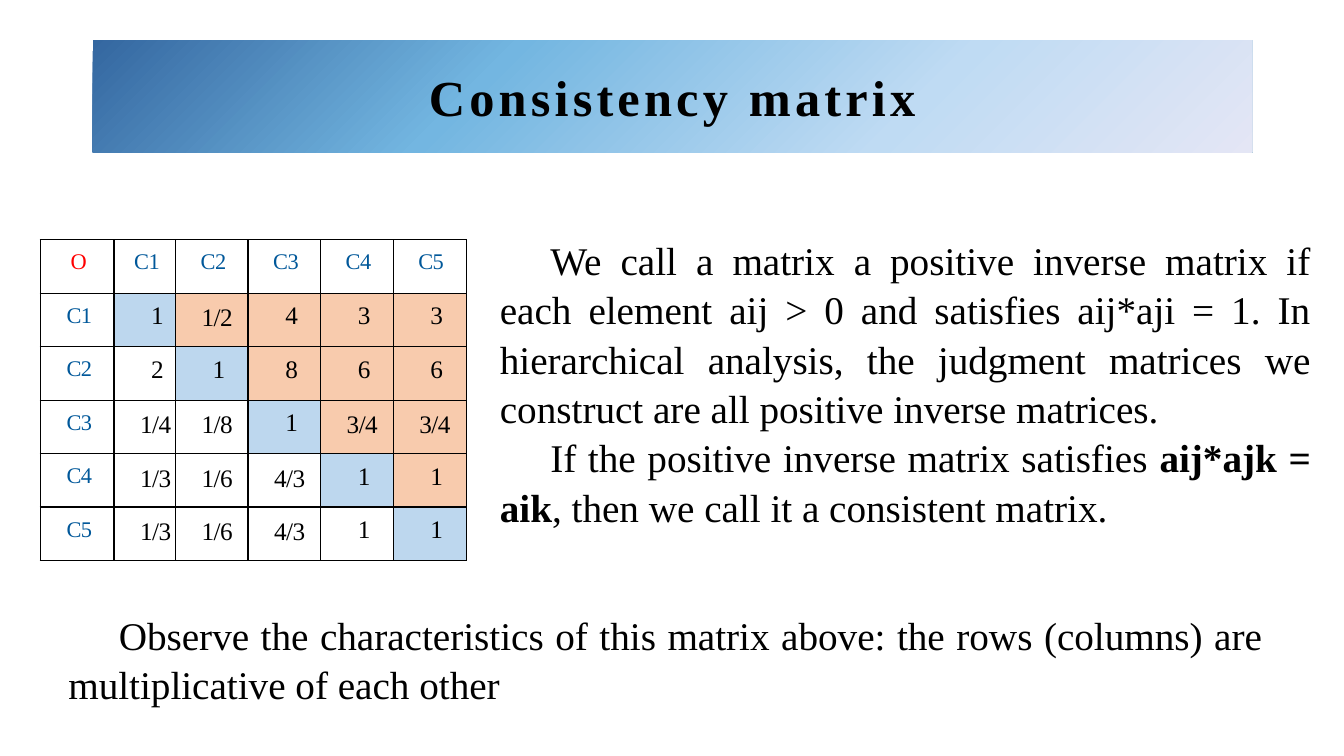
import dataclasses

import pptx
import pptx.dml.color
import pptx.enum.shapes
import pptx.enum.text
import pptx.oxml
import pptx.oxml.ns
import pptx.util

Inches = pptx.util.Inches
Pt = pptx.util.Pt
ALIGN = pptx.enum.text.PP_ALIGN


@dataclasses.dataclass(frozen=True)
class Theme:
    font: str = "Times New Roman"
    ink: str = "000000"
    label: str = "00589A"
    corner: str = "FF0000"
    diagonal: str = "BDD7EE"
    upper: str = "F8CBAD"
    banner: tuple = ((0, "3467A0"), (34, "73B6E1"), (70, "BFDBF3"), (100, "E4E6F5"))
    title_size: int = 36
    body_size: int = 28
    value_size: int = 18
    label_size: int = 16


THEME = Theme()
NAMESPACE = pptx.oxml.ns.nsdecls("a")
CRITERIA = ["C1", "C2", "C3", "C4", "C5"]
JUDGMENTS = [
    ["1", "1/2", "4", "3", "3"],
    ["2", "1", "8", "6", "6"],
    ["1/4", "1/8", "1", "3/4", "3/4"],
    ["1/3", "1/6", "4/3", "1", "1"],
    ["1/3", "1/6", "4/3", "1", "1"],
]
COLUMN_WIDTHS = [0.73, 0.61, 0.72, 0.72, 0.72, 0.73]
ROW_HEIGHT = 0.53
DEFINITIONS = [
    [("We call a matrix a positive inverse matrix if each element aij > 0 and "
      "satisfies aij*aji = 1. In hierarchical analysis, the judgment matrices "
      "we construct are all positive inverse matrices.", False)],
    [("If the positive inverse matrix satisfies ", False),
     ("aij*ajk = aik", True),
     (", then we call it a consistent matrix.", False)],
]
OBSERVATION = [
    [("Observe the characteristics of this matrix above: the rows (columns) "
      "are multiplicative of each other", False)],
]


def rgb(value):
    return pptx.dml.color.RGBColor.from_string(value)


def add_span(para, text, size, color=THEME.ink, bold=False, spacing=0):
    """Add one run; spacing is the letter spacing in points."""
    span = para.add_run()
    span.text = text
    span.font.name = THEME.font
    span.font.size = Pt(size)
    span.font.bold = bold
    span.font.color.rgb = rgb(color)
    if spacing:
        span._r.get_or_add_rPr().set("spc", str(round(spacing * 100)))


def add_banner(page, left, top, width, height):
    banner = page.shapes.add_shape(
        pptx.enum.shapes.MSO_SHAPE.RECTANGLE,
        Inches(left), Inches(top), Inches(width), Inches(height))
    banner.shadow.inherit = False
    banner.line.fill.background()
    stops = "".join(
        f'<a:gs pos="{place * 1000}"><a:srgbClr val="{color}"/></a:gs>'
        for place, color in THEME.banner)
    gradient = pptx.oxml.parse_xml(
        f'<a:gradFill {NAMESPACE} rotWithShape="1"><a:gsLst>{stops}</a:gsLst>'
        '<a:lin ang="2700000" scaled="0"/></a:gradFill>')
    banner._element.spPr.find(pptx.oxml.ns.qn("a:prstGeom")).addnext(gradient)
    banner.text_frame.vertical_anchor = pptx.enum.text.MSO_ANCHOR.MIDDLE
    para = banner.text_frame.paragraphs[0]
    para.alignment = ALIGN.CENTER
    add_span(para, "Consistency matrix", THEME.title_size, bold=True, spacing=3)


def add_borders(cell):
    """Draw a thin black line on each side; call before filling the cell."""
    for side in ("lnL", "lnR", "lnT", "lnB"):
        cell._tc.get_or_add_tcPr().append(pptx.oxml.parse_xml(
            f'<a:{side} {NAMESPACE} w="12700"><a:solidFill>'
            f'<a:srgbClr val="{THEME.ink}"/></a:solidFill></a:{side}>'))


def fill_cell(cell, text, indent, drop, size, color, spacing, fill=None):
    """Place text at an indent and drop from the cell's top left corner."""
    cell.margin_left, cell.margin_top = Inches(indent), Inches(drop)
    cell.margin_right = cell.margin_bottom = 0
    add_borders(cell)
    if fill:
        cell.fill.solid()
        cell.fill.fore_color.rgb = rgb(fill)
    else:
        cell.fill.background()
    add_span(cell.text_frame.paragraphs[0], text, size, color, spacing=spacing)


def add_label(cell, text, indent, color=THEME.label):
    fill_cell(cell, text, indent, 0.1, THEME.label_size, color, -0.3)


def add_value(cell, text, row, column):
    fill = None
    if row == column:
        fill = THEME.diagonal
    elif row < column:
        fill = THEME.upper
    if "/" in text:
        indent, drop, spacing = 0.26, 0.11, -0.4
    else:
        indent, drop, spacing = 0.37, 0.09, -0.2
    fill_cell(cell, text, indent, drop, THEME.value_size, THEME.ink, spacing, fill)


def add_judgment_matrix(page, left, top):
    count = len(CRITERIA) + 1
    table = page.shapes.add_table(
        count, count, Inches(left), Inches(top),
        Inches(sum(COLUMN_WIDTHS)), Inches(ROW_HEIGHT * count)).table
    table.first_row = table.horz_banding = False
    for column, width in zip(table.columns, COLUMN_WIDTHS):
        column.width = Inches(width)
    for row in table.rows:
        row.height = Inches(ROW_HEIGHT)

    add_label(table.cell(0, 0), "O", 0.3, THEME.corner)
    for index, name in enumerate(CRITERIA, start=1):
        add_label(table.cell(0, index), name, 0.2 if index == 1 else 0.25)
        add_label(table.cell(index, 0), name, 0.26)
    for row, values in enumerate(JUDGMENTS, start=1):
        for column, text in enumerate(values, start=1):
            add_value(table.cell(row, column), text, row, column)


def add_body_text(page, paragraphs, left, top, width, height):
    box = page.shapes.add_textbox(
        Inches(left), Inches(top), Inches(width), Inches(height))
    frame = box.text_frame
    frame.word_wrap = True
    for index, spans in enumerate(paragraphs):
        para = frame.add_paragraph() if index else frame.paragraphs[0]
        para.alignment = ALIGN.JUSTIFY
        para.line_spacing = 1.05
        para._p.get_or_add_pPr().set("indent", str(Inches(0.5)))
        for text, bold in spans:
            add_span(para, text, THEME.body_size, bold=bold)


def main():
    deck = pptx.Presentation()
    deck.slide_width, deck.slide_height = Inches(13.33), Inches(7.5)
    page = deck.slides.add_slide(deck.slide_layouts[6])
    add_banner(page, 0.92, 0.4, 11.5, 1.11)
    add_judgment_matrix(page, 0.4, 2.38)
    add_body_text(page, OBSERVATION, 0.58, 5.99, 12.04, 1.04)
    add_body_text(page, DEFINITIONS, 4.86, 2.27, 8.24, 2.96)
    deck.save("out.pptx")


if __name__ == "__main__":
    main()
